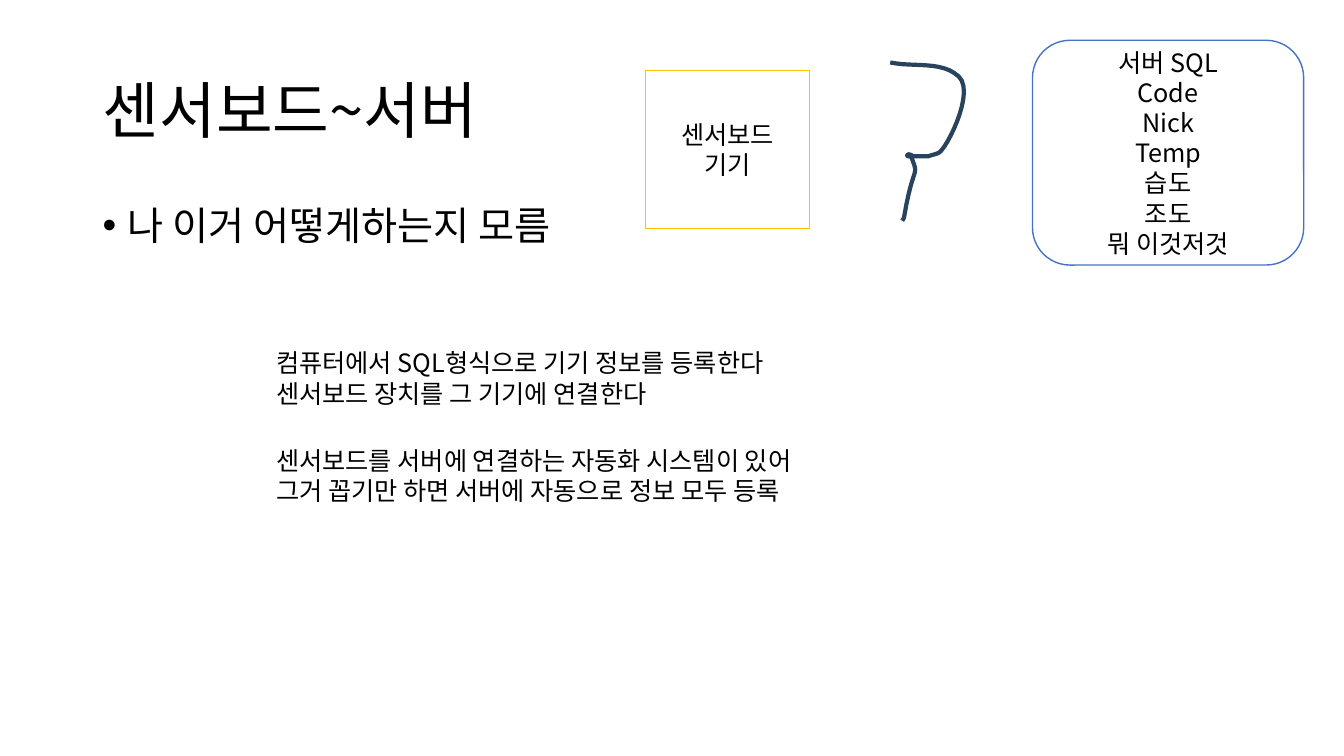
"""Build the slide on linking a sensor board to the SQL server."""
from lxml import etree
from pptx import Presentation
from pptx import util as u
from pptx.dml.color import RGBColor
from pptx.enum import shapes, text
from pptx.oxml.ns import qn

FONT = "Noto Sans CJK KR"


def tint(code):
    return RGBColor.from_string(code)


def write(shape, lines, size=18, align="LEFT", anchor="TOP", wrap=True, space=1.0, bullet=None):
    frame = shape.text_frame
    frame.word_wrap = wrap
    frame.vertical_anchor = getattr(text.MSO_ANCHOR, anchor)
    for i, line in enumerate(lines):
        para = frame.add_paragraph() if i else frame.paragraphs[0]
        para.alignment = getattr(text.PP_ALIGN, align)
        para.line_spacing = space
        if bullet:
            props = para._p.get_or_add_pPr()
            props.set("marL", str(u.Inches(0.25)))
            props.set("indent", str(u.Inches(-0.25)))
            etree.SubElement(props, qn("a:buFont")).set("typeface", "Arial")
            etree.SubElement(props, qn("a:buChar")).set("char", bullet)
        run = para.add_run()
        run.text = line
        run.font.size = u.Pt(size)
        run.font.name = FONT
        run.font.color.rgb = tint("000000")
        etree.SubElement(run._r.get_or_add_rPr(), qn("a:ea")).set("typeface", FONT)


deck = Presentation()
deck.slide_width, deck.slide_height = u.Inches(13.33), u.Inches(7.5)
slide = deck.slides.add_slide(deck.slide_layouts[6])

texts = [
    ((0.92, 0.4, 11.5, 1.45), ["센서보드~서버"], dict(size=44, anchor="MIDDLE", space=0.9)),
    ((0.92, 2, 11.5, 4.76), ["나 이거 어떻게하는지 모름"], dict(size=28, space=0.9, bullet="•")),
    ((2.64, 3.4, 5.56, 0.71),
     ["컴퓨터에서 SQL형식으로 기기 정보를 등록한다", "센서보드 장치를 그 기기에 연결한다"],
     dict(wrap=False)),
    ((2.64, 4.37, 5.95, 0.71),
     ["센서보드를 서버에 연결하는 자동화 시스템이 있어",
      "그거 꼽기만 하면 서버에 자동으로 정보 모두 등록"],
     dict(wrap=False)),
]
for place, lines, form in texts:
    write(slide.shapes.add_textbox(*map(u.Inches, place)), lines, **form)

nodes = [
    ("RECTANGLE", (6.4, 0.7, 1.63, 1.57), "FFC000", ["센서보드", "기기"]),
    ("ROUNDED_RECTANGLE", (10.24, 0.4, 2.69, 2.23), "4472C4",
     ["서버 SQL", "Code", "Nick", "Temp", "습도", "조도", "뭐 이것저것"]),
]
for kind, place, edge, lines in nodes:
    node = slide.shapes.add_shape(getattr(shapes.MSO_SHAPE, kind), *map(u.Inches, place))
    node.shadow.inherit = False
    node.fill.solid()
    node.fill.fore_color.rgb = tint("FFFFFF")
    node.line.color.rgb = tint(edge)
    node.line.width = u.Pt(1)
    write(node, lines, align="CENTER", anchor="MIDDLE")

start = (8.83, 0.62)
curves = [
    ((9.06, 0.67), (9.34, 0.6), (9.51, 0.76)),
    ((9.66, 0.9), (9.44, 1.37), (9.34, 1.49)),
    ((9.31, 1.53), (9.26, 1.53), (9.21, 1.55)),
    ((9.16, 1.55), (9.11, 1.55), (9.06, 1.55)),
    ((9.04, 1.54), (9.01, 1.52), (9, 1.54)),
    ((8.99, 1.55), (9.02, 1.55), (9.04, 1.56)),
    ((9.12, 1.77), (9.06, 1.61), (8.97, 2.14)),
    ((8.97, 2.16), (8.95, 2.19), (8.95, 2.19)),
]
steps = 12
dots, last = [], start
for one, two, end in curves:
    for k in range(1, steps + 1):
        t = k / steps
        dots.append([
            u.Inches((1 - t) ** 3 * a + 3 * t * (1 - t) ** 2 * b + 3 * t * t * (1 - t) * c + t ** 3 * d)
            for a, b, c, d in zip(last, one, two, end)
        ])
    last = end
pen = slide.shapes.build_freeform(*map(u.Inches, start))
pen.add_line_segments(dots, close=False)
mark = pen.convert_to_shape()
mark.shadow.inherit = False
mark.fill.background()
mark.line.color.rgb = tint("28445D")
mark.line.width = u.Pt(3)

deck.save("out.pptx")
